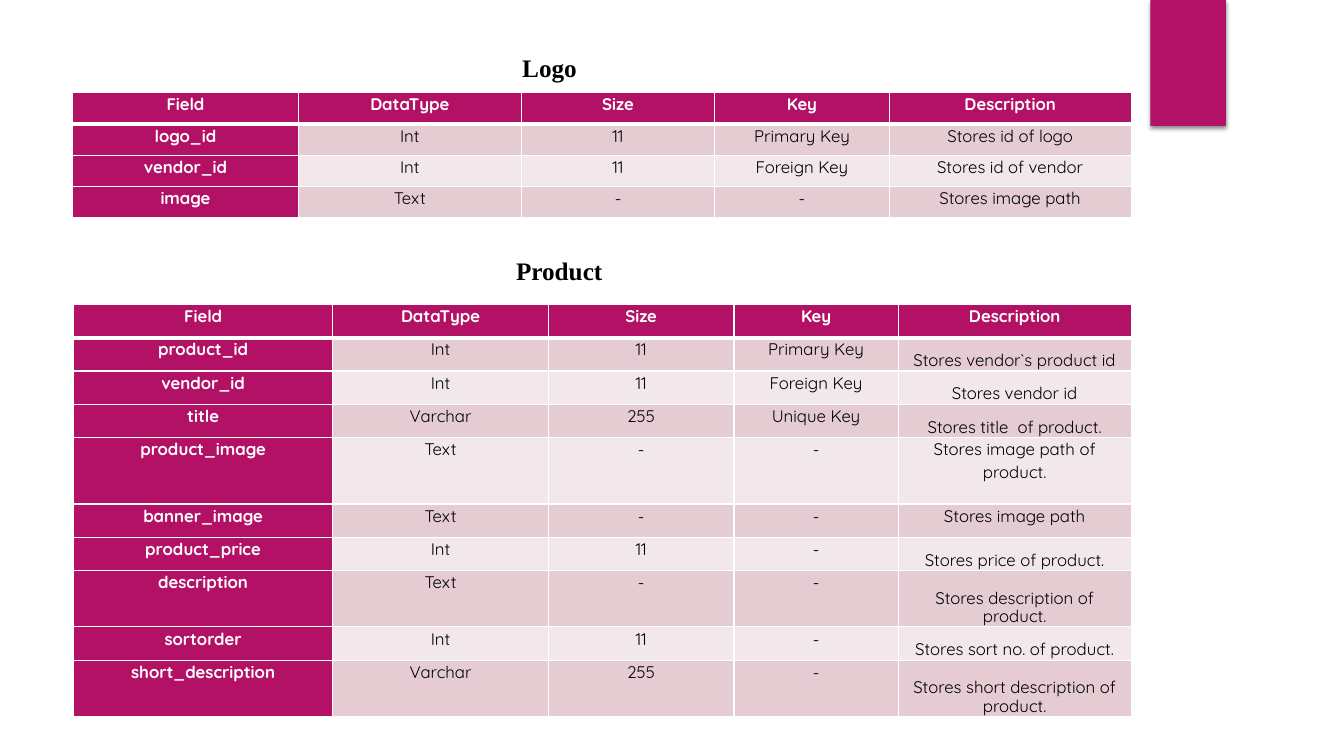
from lxml.etree import SubElement, fromstring
from pptx import Presentation
from pptx.dml.color import RGBColor
from pptx.enum.shapes import MSO_SHAPE
from pptx.enum.text import MSO_ANCHOR, MSO_AUTO_SIZE, PP_ALIGN
from pptx.oxml.ns import nsdecls, qn
from pptx.util import Inches, Pt

COLORS = {"accent": "B31166", "odd": "E5CCD3", "even": "F2E7EA",
          "white": "FFFFFF", "black": "000000"}
LINE_SPACING = 1.07
HEADER = ("Field", "DataType", "Size", "Key", "Description")

LOGO_ROWS = [
    ("logo_id", "Int", "11", "Primary Key", "Stores id of logo"),
    ("vendor_id", "Int", "11", "Foreign Key", "Stores id of vendor"),
    ("image", "Text", "-", "-", "Stores image path"),
]
PRODUCT_ROWS = [
    ("product_id", "Int", "11", "Primary Key", "Stores vendor`s product id"),
    ("vendor_id", "Int", "11", "Foreign Key", "Stores vendor id"),
    ("title", "Varchar", "255", "Unique Key", "Stores title  of product."),
    ("product_image", "Text", "-", "-", "Stores image path of product."),
    ("banner_image", "Text", "-", "-", "Stores image path"),
    ("product_price", "Int", "11", "-", "Stores price of product."),
    ("description", "Text", "-", "-", "Stores description of product."),
    ("sortorder", "Int", "11", "-", "Stores sort no. of product."),
    ("short_description", "Varchar", "255", "-",
     "Stores short description of product."),
]
PRODUCT_HEIGHTS = [0.33] * 4 + [0.66, 0.33, 0.33, 0.56, 0.33, 0.56]
PRODUCT_SPACING = {1: 12.4, 2: 13.3, 3: 13.2, 6: 13.3, 7: 13.3, 8: 13.2, 9: 13.3}


class SlideBuilder:
    """Holds the text styles and the current slide, and adds elements to it."""

    styles = {
        "title": {"name": "Times New Roman", "size": Pt(18), "bold": True},
        "label": {"name": "Quicksand", "size": Pt(12), "bold": True},
        "body": {"name": "Quicksand", "size": Pt(12), "bold": False},
    }

    def __init__(self, s):
        self.s = s

    def color(self, name):
        return RGBColor.from_string(COLORS[name])

    def add_text(self, p, text, style, color, **layout):
        for key, value in layout.items():
            setattr(p, key, value)
        r = p.add_run()
        r.text = text
        for key, value in self.styles[style].items():
            setattr(r.font, key, value)
        r.font.color.rgb = self.color(color)

    def banner(self, x, y, w, h):
        sp = self.s.shapes.add_shape(MSO_SHAPE.RECTANGLE, Inches(x), Inches(y),
                                     Inches(w), Inches(h))
        sp.fill.solid()
        sp.fill.fore_color.rgb = self.color("accent")
        sp.line.fill.background()
        sp.shadow.inherit = False
        effects = sp._element.spPr.find(qn("a:effectLst"))
        shadow = SubElement(effects, qn("a:outerShdw"), blurRad=str(Pt(3)),
                            dist=str(Pt(2)), dir="5400000", rotWithShape="0")
        tint = SubElement(shadow, qn("a:srgbClr"), val=COLORS["black"])
        SubElement(tint, qn("a:alpha"), val="45000")

    def title(self, text, y, margin=0.1):
        tf = self.s.shapes.add_textbox(Inches(5.02), Inches(y), Inches(2.56),
                                       Inches(0.43)).text_frame
        tf.word_wrap = True
        tf.auto_size = MSO_AUTO_SIZE.SHAPE_TO_FIT_TEXT
        tf.margin_left = Inches(margin)
        self.add_text(tf.paragraphs[0], text, "title", "black",
                      line_spacing=LINE_SPACING, space_after=Pt(8))

    def borders(self, cell, top, bottom):
        tcPr = cell._tc.get_or_add_tcPr()
        widths = {"lnL": 1, "lnR": 1, "lnT": top, "lnB": bottom}
        for i, (tag, width) in enumerate(widths.items()):
            tcPr.insert(i, fromstring(
                f'<a:{tag} {nsdecls("a")} w="{Pt(width)}"><a:solidFill>'
                f'<a:srgbClr val="{COLORS["white"]}"/></a:solidFill></a:{tag}>'))

    def cell(self, cell, text, row, col, exact=None):
        heading = row == 0 or col == 0
        band = "odd" if row % 2 else "even"
        layout = {"margin_left": Inches(0.07), "margin_right": Inches(0.07),
                  "margin_top": 0, "margin_bottom": 0,
                  "vertical_anchor": MSO_ANCHOR.BOTTOM if exact else MSO_ANCHOR.TOP}
        for key, value in layout.items():
            setattr(cell, key, value)
        cell.fill.solid()
        cell.fill.fore_color.rgb = self.color("accent" if heading else band)
        self.borders(cell, 3 if row == 1 else 1, 3 if row == 0 else 1)
        self.add_text(cell.text_frame.paragraphs[0], text,
                      "label" if heading else "body",
                      "white" if heading else "black", alignment=PP_ALIGN.CENTER,
                      line_spacing=Pt(exact) if exact else LINE_SPACING)

    def table(self, x, y, widths, heights, records, spacing):
        rows = [HEADER, *records]
        tbl = self.s.shapes.add_table(len(rows), len(HEADER), Inches(x), Inches(y),
                                      Inches(sum(widths)), Inches(sum(heights))).table
        tbl.first_col = True
        for column, width in zip(tbl.columns, widths):
            column.width = Inches(width)
        for i, (values, height) in enumerate(zip(rows, heights)):
            tbl.rows[i].height = Inches(height)
            for j, text in enumerate(values):
                exact = spacing.get(i) if j == len(HEADER) - 1 else None
                self.cell(tbl.cell(i, j), text, i, j, exact)


def main():
    prs = Presentation()
    prs.slide_width, prs.slide_height = Inches(13.33), Inches(7.5)
    slide = SlideBuilder(prs.slides.add_slide(prs.slide_layouts[6]))
    slide.banner(11.41, 0, 0.75, 1.25)
    slide.title("Product", 2.46)
    slide.table(0.72, 0.92, [2.24, 2.21, 1.92, 1.73, 2.4], [0.31] * 4,
                LOGO_ROWS, {})
    slide.title("Logo", 0.45, margin=0.16)
    slide.table(0.73, 3.02, [2.57, 2.14, 1.84, 1.63, 2.31], PRODUCT_HEIGHTS,
                PRODUCT_ROWS, PRODUCT_SPACING)
    prs.save("out.pptx")


if __name__ == "__main__":
    main()
